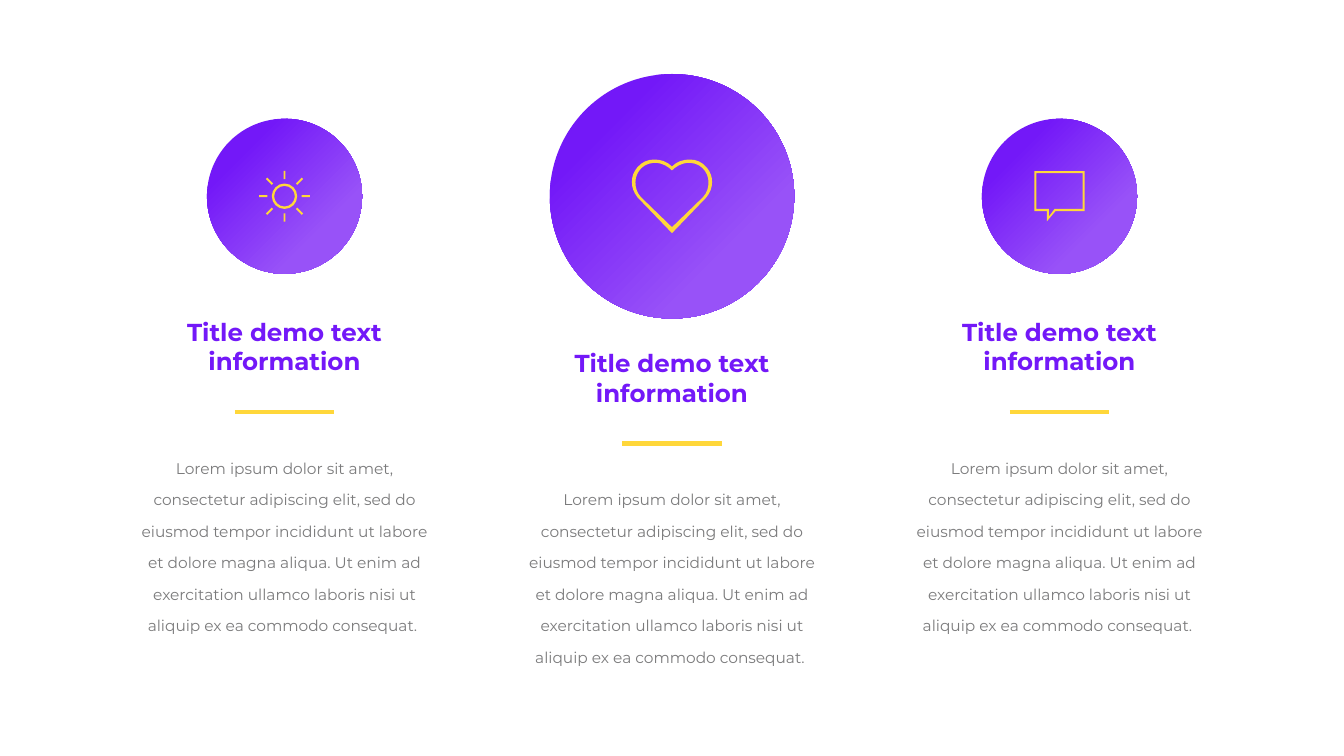
from math import cos, sin, pi

from lxml import etree
from pptx import Presentation
from pptx.dml.color import RGBColor
from pptx.enum.shapes import MSO_CONNECTOR, MSO_SHAPE
from pptx.enum.text import MSO_AUTO_SIZE, PP_ALIGN
from pptx.oxml import parse_xml
from pptx.oxml.ns import nsdecls, qn
from pptx.util import Cm, Pt

COLORS = {"purple": "7318F8", "lilac": "9852F8", "yellow": "FFD73A", "gray": "7B7B7C"}
FONT = "Montserrat"
TITLE = "Title demo text information"
BODY = ("Lorem ipsum dolor sit amet, consectetur adipiscing elit, sed do eiusmod "
        "tempor incididunt ut labore et dolore magna aliqua. Ut enim ad exercitation "
        "ullamco laboris nisi ut aliquip ex ea commodo consequat. ")
GRADIENT = f"""<a:gradFill {nsdecls('a')} rotWithShape="1"><a:gsLst>
<a:gs pos="27000"><a:srgbClr val="{COLORS['lilac']}"/></a:gs>
<a:gs pos="78000"><a:srgbClr val="{COLORS['purple']}"/></a:gs>
<a:gs pos="100000"><a:srgbClr val="{COLORS['purple']}"/></a:gs></a:gsLst>
<a:path path="circle"><a:fillToRect l="100000" t="100000"/></a:path>
<a:tileRect r="-100000" b="-100000"/></a:gradFill>"""


def add_text(shapes, center, top, width, height, text, size, color, bold=None, spacing=None):
    """Add a centred text box with one run."""
    box = shapes.add_textbox(Cm(center - width / 2), Cm(top), Cm(width), Cm(height))
    frame = box.text_frame
    frame.word_wrap = True
    frame.auto_size = MSO_AUTO_SIZE.SHAPE_TO_FIT_TEXT
    frame.margin_left = frame.margin_right = Cm(0.13)
    frame.margin_top = frame.margin_bottom = Cm(0.13)
    para = frame.paragraphs[0]
    para.alignment = PP_ALIGN.CENTER
    para.line_spacing = spacing
    span = para.add_run()
    span.text = text
    span.font.name, span.font.size, span.font.bold = FONT, Pt(size), bold
    span.font.color.rgb = RGBColor.from_string(COLORS[color])


def heart_outline(start, curves, tip):
    """Return the steps of the right half followed by its mirror image."""
    points = [start] + [point for curve in curves for point in curve]
    back = [(-x, y) for x, y in reversed(points)]
    mirrored = [tuple(back[i:i + 3]) for i in range(1, len(back), 3)]
    return [(start,), *curves, (tip,), (back[0],), *mirrored]


# Icon outlines, in centimetres from the circle centre.
# A step of one point is a line, a step of three points is a Bezier curve.
sun = []
for r in (0.64, 0.52):
    k = 0.55 * r
    ring, quarter = [((r, 0),)], ((r, k), (k, r), (0, r))
    for _ in range(4):
        ring.append(quarter)
        quarter = tuple((-y, x) for x, y in quarter)
    sun.append(ring)
for ray in range(8):
    c, s = cos(ray * pi / 4), sin(ray * pi / 4)
    sun.append([((u * c - v * s, u * s + v * c),)
                for u, v in ((0.86, -0.05), (1.28, -0.05), (1.28, 0.05), (0.86, 0.05))])

heart = [
    heart_outline((0, -1.5), [
        ((0.25, -1.75), (0.56, -1.85), (0.89, -1.85)),
        ((1.22, -1.85), (1.52, -1.73), (1.75, -1.45)),
        ((1.93, -1.24), (2.03, -0.97), (2.02, -0.71)),
        ((2.02, -0.43), (1.92, -0.18), (1.74, 0.05))], (0, 1.86)),
    heart_outline((0, -1.3), [
        ((0.19, -1.5), (0.47, -1.65), (0.75, -1.68)),
        ((1.03, -1.7), (1.33, -1.63), (1.54, -1.42)),
        ((1.74, -1.22), (1.84, -0.97), (1.84, -0.71)),
        ((1.84, -0.43), (1.77, -0.18), (1.56, 0.05))], (0, 1.56)),
]

bubble = [[(point,) for point in corners] for corners in (
    [(-1.27, -1.27), (-1.27, 0.75), (-0.64, 0.75), (-0.64, 1.27),
     (-0.2, 0.75), (1.27, 0.75), (1.27, -1.27)],
    [(-1.17, -1.17), (1.17, -1.17), (1.17, 0.64), (-0.25, 0.64),
     (-0.53, 1.02), (-0.53, 0.64), (-1.17, 0.64)],
)]

deck = Presentation()
deck.slide_width, deck.slide_height = Cm(67.74), Cm(38.1)
page = deck.slides.add_slide(deck.slide_layouts[6])

MIDDLE, PITCH, CIRCLE_Y = 33.87, 19.53, 9.89
# Column position, circle diameter, text drop, icon
columns = [(1, 7.82, 0, bubble), (-1, 7.82, 0, sun), (0, 12.32, 1.58, heart)]

for position, diameter, drop, icon in columns:
    center = MIDDLE + position * PITCH
    shapes = page.shapes.add_group_shape().shapes

    add_text(shapes, center, 22.34 + drop, 14.76, 9.68, BODY, 22, "gray", spacing=Pt(45))
    add_text(shapes, center, 15.84 + drop, 16.87, 3.25, TITLE, 35, "purple", bold=True)

    rule_y = Cm(20.77 + drop)
    rule = shapes.add_connector(MSO_CONNECTOR.STRAIGHT, Cm(center - 2.5), rule_y,
                                Cm(center + 2.5), rule_y)
    rule.line.color.rgb = RGBColor.from_string(COLORS["yellow"])
    rule.line.width = Pt(6)
    etree.SubElement(rule._element.spPr, qn("a:effectLst"))

    circle = shapes.add_shape(MSO_SHAPE.OVAL, Cm(center - diameter / 2),
                              Cm(CIRCLE_Y - diameter / 2), Cm(diameter), Cm(diameter))
    circle.shadow.inherit = False
    circle.line.fill.background()
    circle.fill.gradient()
    props = circle._element.spPr
    props.replace(props.find(qn("a:gradFill")), parse_xml(GRADIENT))

    builder = None
    for outline in icon:
        points = [(Cm(center + x), Cm(CIRCLE_Y + y)) for step in outline for x, y in step]
        if builder is None:
            builder = shapes.build_freeform(*points[0])
        else:
            builder.move_to(*points[0])
        builder.add_line_segments(points[1:], close=True)
    symbol = builder.convert_to_shape()
    symbol.shadow.inherit = False
    symbol.fill.solid()
    symbol.fill.fore_color.rgb = RGBColor.from_string(COLORS["yellow"])
    symbol.line.fill.background()

    # Join the three points of each curve step into one Bezier segment
    segments = iter(list(symbol._element.iter(qn("a:lnTo"))))
    for step in (step for outline in icon for step in outline[1:]):
        nodes = [next(segments) for _ in step]
        if len(nodes) == 3:
            curve = etree.Element(qn("a:cubicBezTo"))
            nodes[0].addprevious(curve)
            for node in nodes:
                curve.append(node[0])
                node.getparent().remove(node)

deck.save("out.pptx")
